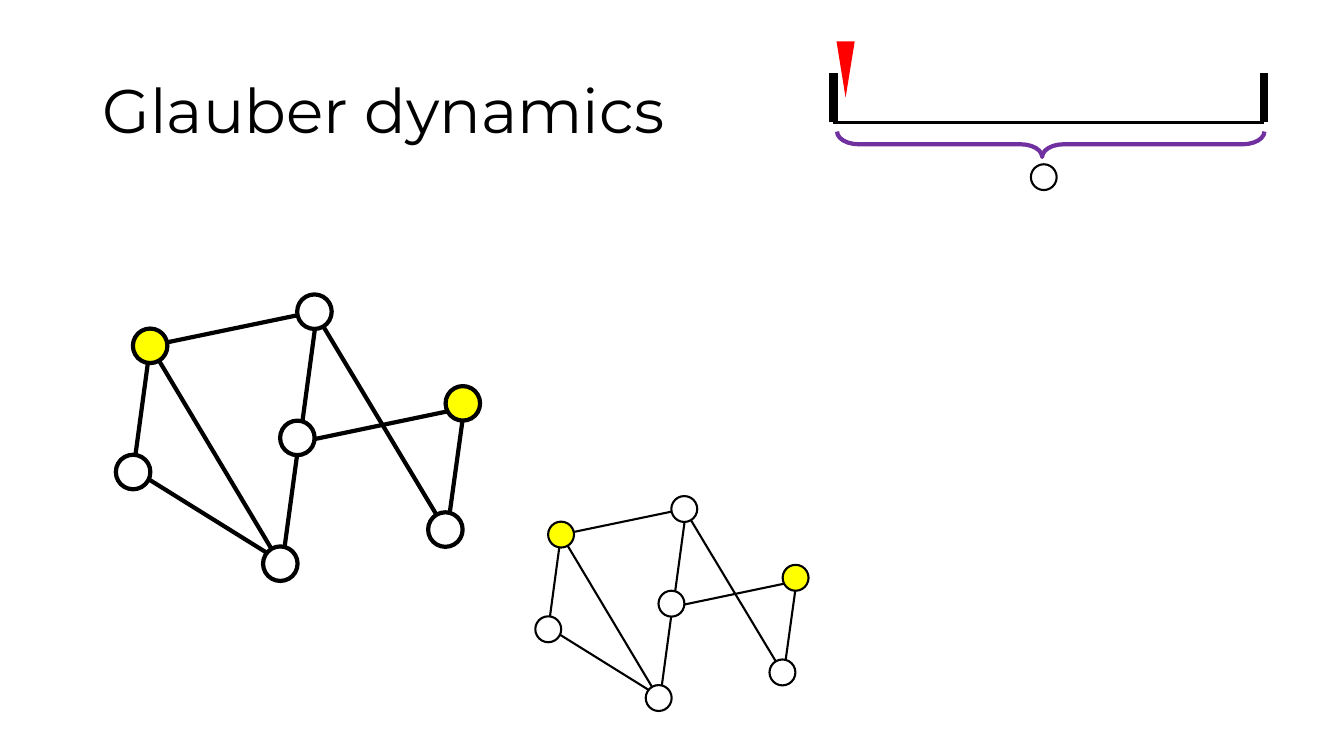
from dataclasses import dataclass

from lxml.etree import SubElement
from pptx import Presentation
from pptx.dml.color import RGBColor
from pptx.enum.shapes import MSO_CONNECTOR, MSO_SHAPE
from pptx.enum.text import MSO_ANCHOR
from pptx.oxml.ns import qn
from pptx.shapes.autoshape import Shape
from pptx.slide import Slide
from pptx.util import Cm, Pt

COLORS = {
    "black": "000000",
    "white": "FFFFFF",
    "yellow": "FFFF00",
    "red": "FF0000",
    "purple": "7030A0",
}
TITLE_FORMAT = {"name": "Montserrat", "size": Pt(44)}
NODE_SIZE = 0.87


@dataclass(frozen=True)
class Node:
    left: float
    top: float
    color: str = "white"


@dataclass(frozen=True)
class Edge:
    start: str
    end: str
    shift_x: float = 0
    shift_y: float = 0


@dataclass(frozen=True)
class GraphView:
    left: float
    top: float
    scale: float
    line_width: float


@dataclass(frozen=True)
class Segment:
    x1: float
    y1: float
    x2: float
    y2: float
    width: float


NODES = {
    "upper left": Node(0.43, 0.86, "yellow"),
    "top": Node(4.57, 0),
    "bottom": Node(3.71, 6.35),
    "lower right": Node(7.87, 5.49),
    "left": Node(0, 4.04),
    "middle": Node(4.14, 3.18),
    "right": Node(8.31, 2.31, "yellow"),
}
EDGES = [
    Edge("upper left", "top"),
    Edge("left", "upper left"),
    Edge("lower right", "right", shift_x=0.05),
    Edge("middle", "top", shift_x=0.07),
    Edge("bottom", "middle", shift_x=0.05),
    Edge("middle", "right", shift_y=0.12),
    Edge("left", "bottom", shift_x=0.1),
    Edge("bottom", "upper left"),
    Edge("lower right", "top"),
]
GRAPH_VIEWS = [
    GraphView(13.49, 12.5, 0.75, 1.5),
    GraphView(2.92, 7.42, 1, 3),
]
BAR_LEFT, BAR_RIGHT, BAR_TOP, BAR_BOTTOM = 21, 31.85, 1.85, 3.08
TIMELINE = [
    Segment(BAR_LEFT, BAR_TOP, BAR_LEFT, BAR_BOTTOM, 6),
    Segment(BAR_RIGHT, BAR_TOP, BAR_RIGHT, BAR_BOTTOM, 6),
    Segment(BAR_LEFT, BAR_BOTTOM, BAR_RIGHT, BAR_BOTTOM, 2.25),
]


def color(name: str) -> RGBColor:
    return RGBColor.from_string(COLORS[name])


def add_segment(slide: Slide, segment: Segment) -> None:
    connector = slide.shapes.add_connector(
        MSO_CONNECTOR.STRAIGHT,
        Cm(segment.x1), Cm(segment.y1), Cm(segment.x2), Cm(segment.y2),
    )
    connector.line.color.rgb = color("black")
    connector.line.width = Pt(segment.width)
    SubElement(connector._element.spPr, qn("a:effectLst"))


def add_figure(
    slide: Slide, kind: MSO_SHAPE, left: float, top: float, width: float, height: float,
    fill: str = "", line: str = "", line_width: float = 0, rotation: float = 0,
) -> Shape:
    """Add a preset shape; an empty fill or line colour means none."""
    shape = slide.shapes.add_shape(kind, Cm(left), Cm(top), Cm(width), Cm(height))
    shape.shadow.inherit = False
    shape.rotation = rotation
    if fill:
        shape.fill.solid()
        shape.fill.fore_color.rgb = color(fill)
    else:
        shape.fill.background()
    if line:
        shape.line.color.rgb = color(line)
        shape.line.width = Pt(line_width)
    else:
        shape.line.fill.background()
    return shape


def add_node(
    slide: Slide, left: float, top: float, size: float, fill: str, line_width: float
) -> None:
    add_figure(slide, MSO_SHAPE.OVAL, left, top, size, size, fill, "black", line_width)


def add_graph(slide: Slide, view: GraphView) -> None:
    def place_x(offset: float) -> float:
        return view.left + view.scale * offset

    def place_y(offset: float) -> float:
        return view.top + view.scale * offset

    radius = NODE_SIZE / 2
    for edge in EDGES:
        start, end = NODES[edge.start], NODES[edge.end]
        across, down = radius + edge.shift_x, radius + edge.shift_y
        add_segment(slide, Segment(
            place_x(start.left + across), place_y(start.top + down),
            place_x(end.left + across), place_y(end.top + down),
            view.line_width,
        ))
    for node in NODES.values():
        add_node(slide, place_x(node.left), place_y(node.top),
                 view.scale * NODE_SIZE, node.color, view.line_width)


def add_title(slide: Slide, text: str) -> None:
    box = slide.shapes.add_textbox(Cm(2.34), Cm(1.02), Cm(29.21), Cm(3.68))
    frame = box.text_frame
    frame.word_wrap = True
    frame.vertical_anchor = MSO_ANCHOR.MIDDLE
    paragraph = frame.paragraphs[0]
    paragraph.line_spacing = 0.9
    run = paragraph.add_run()
    run.text = text
    for attribute, value in TITLE_FORMAT.items():
        setattr(run.font, attribute, value)
    run.font.color.rgb = color("black")


def add_timeline(slide: Slide) -> None:
    add_figure(slide, MSO_SHAPE.ISOSCELES_TRIANGLE, 21.08, 1.04, 0.46, 1.42,
               fill="red", rotation=180)
    for segment in TIMELINE:
        add_segment(slide, segment)
    brace = add_figure(slide, MSO_SHAPE.LEFT_BRACE, 26.16, -1.75, 0.64, 10.77,
                       line="purple", line_width=3, rotation=270)
    brace.adjustments[0] = 0.85
    brace.adjustments[1] = 0.48
    add_node(slide, 25.98, 4.14, 0.65, "white", 1.5)


def main() -> None:
    presentation = Presentation()
    presentation.slide_width = Cm(33.87)
    presentation.slide_height = Cm(19.05)
    slide = presentation.slides.add_slide(presentation.slide_layouts[6])
    add_title(slide, "Glauber dynamics")
    for view in GRAPH_VIEWS:
        add_graph(slide, view)
    add_timeline(slide)
    presentation.save("out.pptx")


if __name__ == "__main__":
    main()
